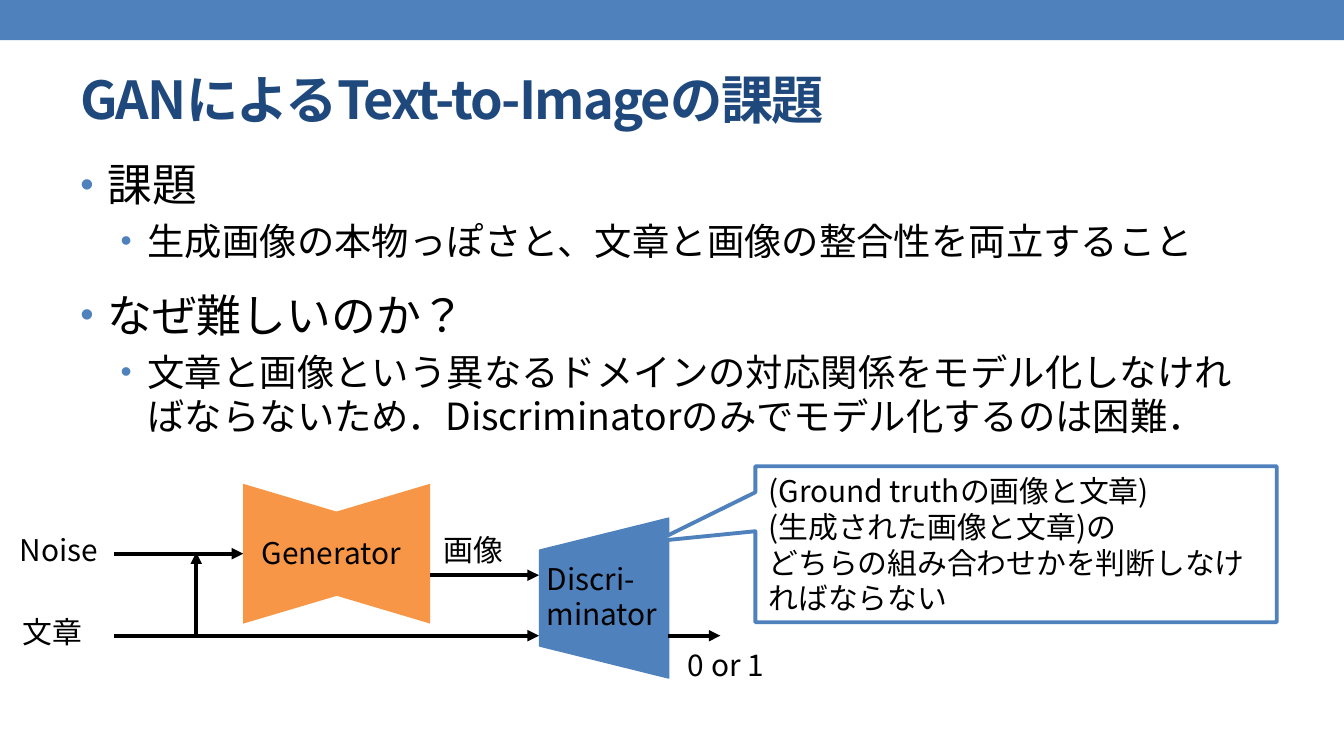
import lxml.etree
import pptx
import pptx.dml.color
import pptx.enum.lang
import pptx.enum.shapes
import pptx.enum.text
import pptx.oxml.ns
import pptx.util

Inches = pptx.util.Inches
Pt = pptx.util.Pt
Shape = pptx.enum.shapes.MSO_SHAPE
Anchor = pptx.enum.text.MSO_ANCHOR
qn = pptx.oxml.ns.qn
color = pptx.dml.color.RGBColor.from_string

FONT = "Noto Sans CJK JP"
BLUE, NAVY, ORANGE, BLACK, WHITE = "4F81BD", "1F497D", "F79646", "000000", "FFFFFF"


def write(para, text, size=16, ink=BLACK, bold=False, spacing=None):
    para.alignment = pptx.enum.text.PP_ALIGN.LEFT
    span = para.add_run()
    span.text = text
    span.font.size = Pt(size)
    span.font.bold = bold
    span.font.color.rgb = color(ink)
    span.font.name = FONT
    span.font.language_id = pptx.enum.lang.MSO_LANGUAGE_ID.JAPANESE
    properties = span.font._element
    lxml.etree.SubElement(properties, qn("a:ea"), typeface=FONT)
    if spacing is not None:
        properties.set("spc", str(spacing * 100))


def make_arrow(line_shape):
    """Give a line its black stroke and end arrowhead, without a shadow."""
    line_shape.line.color.rgb = color(BLACK)
    line_shape.line.width = Pt(2.08)
    stroke = line_shape.line._get_or_add_ln()
    lxml.etree.SubElement(stroke, qn("a:tailEnd"), type="triangle")
    lxml.etree.SubElement(line_shape._element.spPr, qn("a:effectLst"))


deck = pptx.Presentation()
deck.slide_width = Inches(10)
deck.slide_height = Inches(10) * 9 // 16
page = deck.slides.add_slide(deck.slide_layouts[6])
shapes = page.shapes

# Header band and title
band = shapes.add_shape(Shape.RECTANGLE, 0, 0, Inches(10), Inches(0.3))
band.shadow.inherit = False
band.fill.solid()
band.fill.fore_color.rgb = color(BLUE)
band.line.fill.background()

title = shapes.add_textbox(Inches(0.5), Inches(0.44), Inches(9), Inches(0.59))
title.text_frame.word_wrap = True
title.text_frame.vertical_anchor = Anchor.MIDDLE
write(title.text_frame.paragraphs[0], "GANによるText-to-Imageの課題",
      size=28, ink=NAVY, bold=True, spacing=-1)

# Bullets: level, space before, text
bullets = [
    (0, 0, "課題"),
    (1, 4, "生成画像の本物っぽさと、文章と画像の整合性を両立すること"),
    (0, 13, "なぜ難しいのか？"),
    (1, 4, "文章と画像という異なるドメインの対応関係をモデル化しなければならないため．"
           "Discriminatorのみでモデル化するのは困難．"),
]
body = shapes.add_textbox(Inches(0.5), Inches(1.12), Inches(9), Inches(4.19))
body.text_frame.word_wrap = True
for index, (level, gap, text) in enumerate(bullets):
    para = body.text_frame.add_paragraph() if index else body.text_frame.paragraphs[0]
    para.level = level
    para.space_before = Pt(gap)
    properties = para._p.get_or_add_pPr()
    properties.set("marL", str(Inches(0.2 + 0.3 * level)))
    properties.set("indent", str(Inches(-0.2)))
    bullet_color = lxml.etree.SubElement(properties, qn("a:buClr"))
    lxml.etree.SubElement(bullet_color, qn("a:srgbClr"), val=BLUE)
    lxml.etree.SubElement(properties, qn("a:buSzPct"), val="85000")
    lxml.etree.SubElement(properties, qn("a:buFont"), typeface="Arial")
    lxml.etree.SubElement(properties, qn("a:buChar"), char="•")
    write(para, text, size=24 - 4 * level)

# Network blocks: the generator is two trapezoids meeting at the narrow side
blocks = [
    (3.9, 3.97, 1.19, 0.96, 90, BLUE),
    (2.33, 3.77, 1.04, 0.7, 90, ORANGE),
    (1.64, 3.77, 1.04, 0.7, 270, ORANGE),
]
for left, top, width, height, angle, fill in blocks:
    block = shapes.add_shape(Shape.FLOWCHART_MANUAL_OPERATION, Inches(left),
                             Inches(top), Inches(width), Inches(height))
    block.rotation = angle
    block.shadow.inherit = False
    block.fill.solid()
    block.fill.fore_color.rgb = color(fill)
    if fill == BLUE:
        block.line.color.rgb = color(BLUE)
        block.line.width = Pt(0.75)
    else:
        block.line.fill.background()

# Data flow: horizontal arrows, then the branch from the sentence to the noise
for start, end, height in [(0.85, 1.81, 4.12), (3.2, 4.01, 4.28),
                           (1.21, 4.01, 4.73), (4.97, 5.36, 4.73)]:
    make_arrow(shapes.add_connector(pptx.enum.shapes.MSO_CONNECTOR.STRAIGHT,
                                    Inches(start), Inches(height),
                                    Inches(end), Inches(height)))

outline = shapes.build_freeform(Inches(0.85), Inches(4.73))
outline.add_line_segments([(Inches(1.46), Inches(4.73)), (Inches(1.46), Inches(4.11))],
                          close=False)
branch = outline.convert_to_shape()
branch.fill.background()
make_arrow(branch)

# Labels
labels = [
    (1.85, 3.93, 1.3, 0.37, ["Generator"]),
    (3.97, 4.12, 1.06, 0.64, ["Discri-", "minator"]),
    (0.05, 3.91, 0.8, 0.37, ["Noise"]),
    (0.07, 4.52, 0.65, 0.37, ["文章"]),
    (3.2, 3.91, 0.65, 0.37, ["画像"]),
    (5.02, 4.76, 0.86, 0.37, ["0 or 1"]),
]
for left, top, width, height, lines in labels:
    label = shapes.add_textbox(Inches(left), Inches(top), Inches(width), Inches(height))
    frame = label.text_frame
    frame.word_wrap = False
    for index, text in enumerate(lines):
        write(frame.add_paragraph() if index else frame.paragraphs[0], text)

# Callout on the discriminator
callout = shapes.add_shape(Shape.RECTANGULAR_CALLOUT, Inches(5.62), Inches(3.47),
                           Inches(3.88), Inches(1.16))
callout.adjustments[0] = -0.69
callout.adjustments[1] = -0.02
callout.shadow.inherit = False
callout.fill.solid()
callout.fill.fore_color.rgb = color(WHITE)
callout.line.color.rgb = color(BLUE)
callout.line.width = Pt(2.08)
frame = callout.text_frame
frame.word_wrap = True
frame.vertical_anchor = Anchor.MIDDLE
for index, text in enumerate(["(Ground truthの画像と文章)", "(生成された画像と文章)の",
                              "どちらの組み合わせかを判断しなければならない"]):
    write(frame.add_paragraph() if index else frame.paragraphs[0], text)

deck.save("out.pptx")
